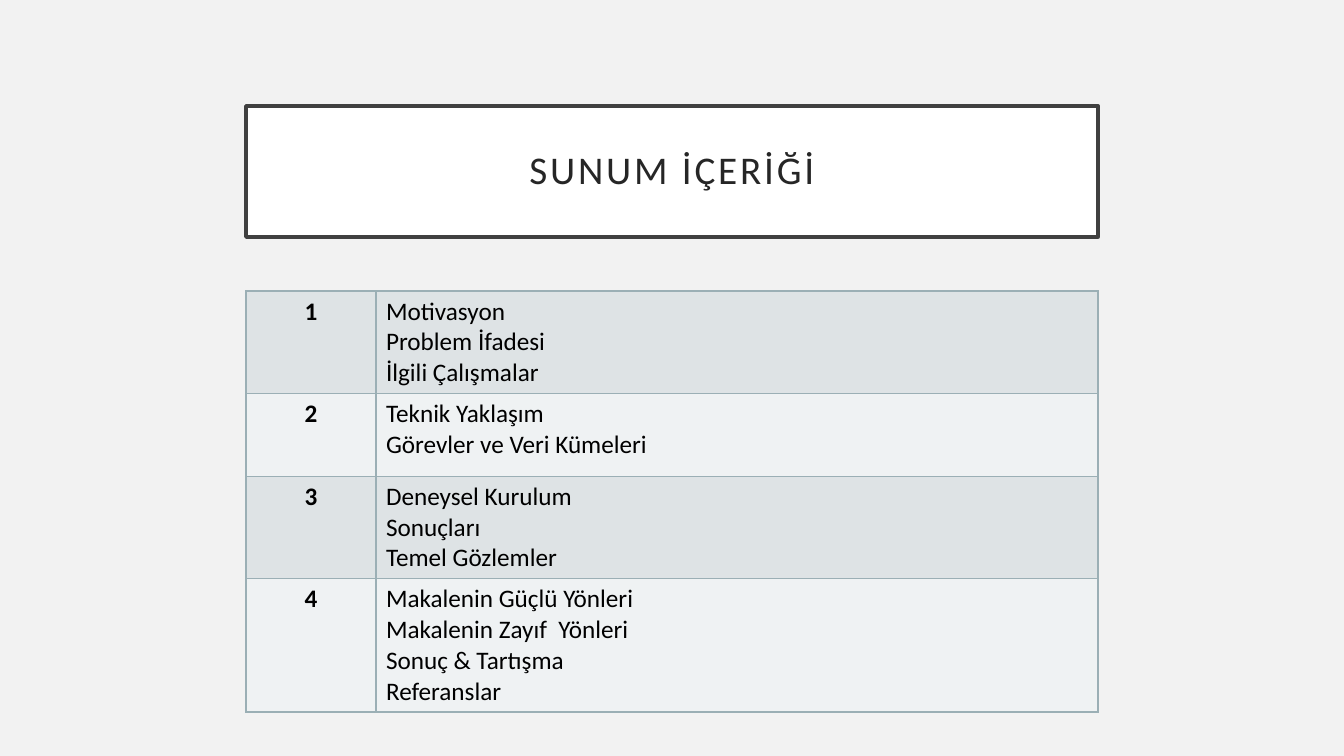
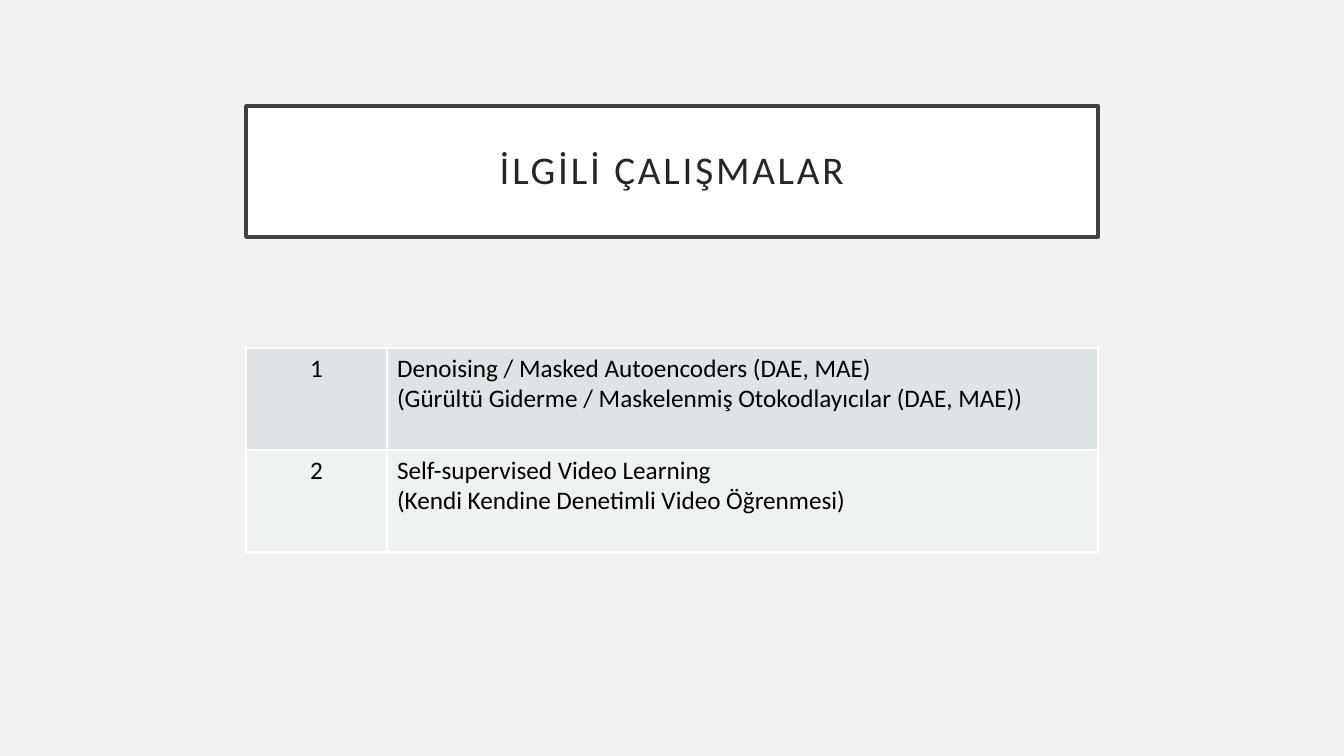
import pptx
import pptx.util
import pptx.dml.color
import pptx.enum.text
import pptx.oxml
import pptx.oxml.ns

SLIDE_WIDTH, SLIDE_HEIGHT = 1344, 756
EMU_PER_PX = 914400 / 100.8
CONTENT_LEFT, CONTENT_WIDTH = 246, 852
TITLE_ONLY_LAYOUT = 5

FONT = "Calibri"
BACKGROUND = "F2F2F2"
TITLE_FILL, TITLE_LINE, TITLE_TEXT = "FFFFFF", "404040", "262626"
TABLE_TEXT = "000000"
BAND_FILLS = ("DEE3E5", "EFF2F3")


def px(length):
    return pptx.util.Emu(round(length * EMU_PER_PX))


def color(hex_string):
    return pptx.dml.color.RGBColor.from_string(hex_string)


def set_fill(fill, hex_string):
    fill.solid()
    fill.fore_color.rgb = color(hex_string)


def set_font(paragraph, size, hex_string, bold=False):
    font = paragraph.font
    font.name = FONT
    font.size = pptx.util.Pt(size)
    font.bold = bold
    font.color.rgb = color(hex_string)


def add_titled_slide(presentation, title):
    slide = presentation.slides.add_slide(presentation.slide_layouts[TITLE_ONLY_LAYOUT])
    shape = slide.shapes.title
    shape.left, shape.top = px(CONTENT_LEFT), px(106)
    shape.width, shape.height = px(CONTENT_WIDTH), px(131)
    set_fill(shape.fill, TITLE_FILL)
    shape.line.color.rgb = color(TITLE_LINE)
    shape.line.width = pptx.util.Pt(2.5)

    frame = shape.text_frame
    frame.text = title
    frame.word_wrap = True
    frame.auto_size = pptx.enum.text.MSO_AUTO_SIZE.NONE
    frame.vertical_anchor = pptx.enum.text.MSO_ANCHOR.MIDDLE
    frame.margin_left = frame.margin_right = px(20)
    frame.margin_top = frame.margin_bottom = px(20)
    paragraph = frame.paragraphs[0]
    paragraph.alignment = pptx.enum.text.PP_ALIGN.CENTER
    paragraph.line_spacing = 0.9
    set_font(paragraph, 28, TITLE_TEXT)
    # Letter spacing, in hundredths of a point
    paragraph.runs[0]._r.get_or_add_rPr().set("spc", "200")
    return slide


def set_borders(cell, hex_string):
    properties = cell._tc.get_or_add_tcPr()
    for side in ("lnL", "lnR", "lnT", "lnB"):
        properties.append(pptx.oxml.parse_xml(
            f'<a:{side} {pptx.oxml.ns.nsdecls("a")} w="{pptx.util.Pt(1)}">'
            f'<a:solidFill><a:srgbClr val="{hex_string}"/></a:solidFill></a:{side}>'))


def fill_cell(cell, lines, fill, border, centered=False, bold=False):
    # Borders come before the fill in the cell properties
    set_borders(cell, border)
    set_fill(cell.fill, fill)
    cell.text = "\n".join(lines)
    for paragraph in cell.text_frame.paragraphs:
        if centered:
            paragraph.alignment = pptx.enum.text.PP_ALIGN.CENTER
        set_font(paragraph, 18, TABLE_TEXT, bold)


def add_numbered_table(slide, top, number_width, rows, border, bold_numbers=False):
    """Each row is a height and its lines of text."""
    total_height = sum(height for height, lines in rows)
    table = slide.shapes.add_table(len(rows), 2, px(CONTENT_LEFT), px(top),
                                   px(CONTENT_WIDTH), px(total_height)).table
    table.first_row = False
    table.horz_banding = False
    table.columns[0].width = px(number_width)
    table.columns[1].width = px(CONTENT_WIDTH - number_width)
    for index, (height, lines) in enumerate(rows):
        table.rows[index].height = px(height)
        fill = BAND_FILLS[index % 2]
        fill_cell(table.cell(index, 0), [str(index + 1)], fill, border,
                  centered=True, bold=bold_numbers)
        fill_cell(table.cell(index, 1), lines, fill, border)


def main():
    presentation = pptx.Presentation()
    presentation.slide_width = px(SLIDE_WIDTH)
    presentation.slide_height = px(SLIDE_HEIGHT)
    set_fill(presentation.slide_master.background.fill, BACKGROUND)

    # Contents
    slide = add_titled_slide(presentation, "SUNUM İÇERİĞİ")
    add_numbered_table(slide, 291, 130, [
        (102, ["Motivasyon", "Problem İfadesi", "İlgili Çalışmalar"]),
        (83, ["Teknik Yaklaşım", "Görevler ve Veri Kümeleri"]),
        (102, ["Deneysel Kurulum", "Sonuçları", "Temel Gözlemler"]),
        (133, ["Makalenin Güçlü Yönleri", "Makalenin Zayıf  Yönleri",
               "Sonuç & Tartışma", "Referanslar"]),
    ], border="9BAFB5", bold_numbers=True)

    # Related work
    slide = add_titled_slide(presentation, "İLGİLİ ÇALIŞMALAR")
    add_numbered_table(slide, 348, 141, [
        (102, ["Denoising / Masked Autoencoders (DAE, MAE)",
               "(Gürültü Giderme / Maskelenmiş Otokodlayıcılar (DAE, MAE))"]),
        (102, ["Self-supervised Video Learning",
               "(Kendi Kendine Denetimli Video Öğrenmesi)"]),
    ], border="FFFFFF")

    presentation.save("out.pptx")


if __name__ == "__main__":
    main()
